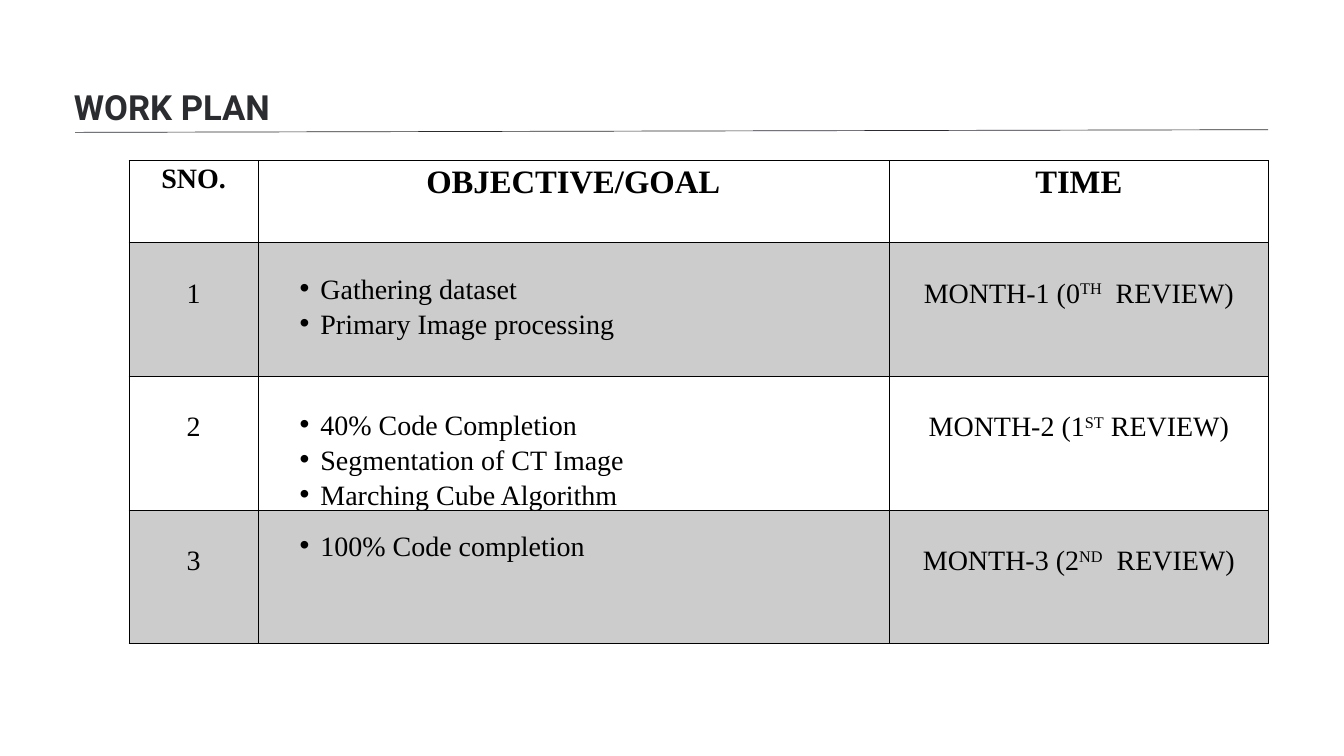
from dataclasses import dataclass
from typing import NamedTuple

from lxml.etree import SubElement
from pptx import Presentation
from pptx.dml.color import RGBColor
from pptx.enum.shapes import MSO_CONNECTOR
from pptx.enum.text import PP_ALIGN
from pptx.oxml.ns import qn
from pptx.util import Inches, Pt


@dataclass(frozen=True)
class Theme:
    ink: str = "000000"
    heading: str = "2B2C30"
    title_font: str = "Roboto"
    body_font: str = "Times New Roman"
    title_size: float = 37.1
    header_size: float = 35
    body_size: float = 30
    band_alpha: int = 20000


class Review(NamedTuple):
    number: str
    month: str
    ordinal: str
    ending: str
    banded: bool


class Goals(NamedTuple):
    top: float
    width: float
    height: float
    inset_top: float
    items: tuple[str, ...]


THEME = Theme()
HEADERS = (
    ("SNO.", THEME.body_size),
    ("OBJECTIVE/GOAL", THEME.header_size),
    ("TIME", THEME.header_size),
)
REVIEWS = (
    Review("1", "MONTH-1 (0", "TH", "  REVIEW)", True),
    Review("2", "MONTH-2 (1", "ST", " REVIEW)", False),
    Review("3", "MONTH-3 (2", "ND", "  REVIEW)", True),
)
GOALS = (
    Goals(3.46, 9.92, 2.12, 0.56, ("Gathering dataset", "Primary Image processing")),
    Goals(5.99, 8.58, 2.12, 0.05,
          ("40% Code Completion", "Segmentation of CT Image", "Marching Cube Algorithm")),
    Goals(7.79, 9.22, 1.11, 0.05, ("100% Code completion",)),
)
COLUMN_WIDTHS = (1.92, 9.39, 5.65)
HEADER_HEIGHT, REVIEW_HEIGHT = 1.22, 1.99
GOALS_LEFT = 4.36
BULLET_INDENT = 0.31


def write(paragraph, text: str, *, size: float = THEME.body_size, font: str = THEME.body_font,
          color: str = THEME.ink, bold: bool = False, align=PP_ALIGN.LEFT,
          spacing: float | None = None, raised: bool = False) -> None:
    paragraph.alignment = align
    if spacing:
        paragraph.line_spacing = spacing
    run = paragraph.add_run()
    run.text = text
    run.font.size = Pt(size)
    run.font.name = font
    run.font.bold = bold
    run.font.color.rgb = RGBColor.from_string(color)
    if raised:
        run.font._element.set("baseline", "30000")


def add_solid(parent, tag: str, color: str) -> None:
    SubElement(SubElement(parent, qn(tag)), qn("a:srgbClr"), val=color)


def add_bullet(paragraph) -> None:
    properties = paragraph._p.get_or_add_pPr()
    properties.set("marL", str(Inches(BULLET_INDENT)))
    properties.set("indent", str(-Inches(BULLET_INDENT)))
    add_solid(properties, "a:buClr", THEME.ink)
    SubElement(properties, qn("a:buFont"), typeface="Arial")
    SubElement(properties, qn("a:buChar"), char="•")


def style_cell(cell, *, banded: bool, top: float, bottom_width: float = 1) -> None:
    cell.margin_left = cell.margin_right = Inches(0.1)
    cell.margin_top, cell.margin_bottom = Inches(top), Inches(0.05)
    properties = cell._tc.get_or_add_tcPr()
    for side in "LRTB":
        width = bottom_width if side == "B" else 1
        border = SubElement(properties, qn(f"a:ln{side}"), w=str(Pt(width)))
        add_solid(border, "a:solidFill", THEME.ink)
    if banded:
        cell.fill.solid()
        cell.fill.fore_color.rgb = RGBColor.from_string(THEME.ink)
        shade = properties.find(qn("a:solidFill")).find(qn("a:srgbClr"))
        SubElement(shade, qn("a:alpha"), val=str(THEME.band_alpha))
    else:
        cell.fill.background()


def add_plan(slide) -> None:
    heights = [HEADER_HEIGHT] + [REVIEW_HEIGHT] * len(REVIEWS)
    plan = slide.shapes.add_table(
        len(heights), len(COLUMN_WIDTHS), Inches(1.92), Inches(2.39),
        Inches(sum(COLUMN_WIDTHS)), Inches(sum(heights))).table
    plan.first_row = plan.horz_banding = False
    for column, width in zip(plan.columns, COLUMN_WIDTHS):
        column.width = Inches(width)
    for row, height in zip(plan.rows, heights):
        row.height = Inches(height)

    for cell, (label, size) in zip(plan.rows[0].cells, HEADERS):
        style_cell(cell, banded=False, top=0.05, bottom_width=2)
        write(cell.text_frame.paragraphs[0], label, size=size, bold=True, align=PP_ALIGN.CENTER)

    for index, review in enumerate(REVIEWS, start=1):
        cells = list(plan.rows[index].cells)
        for cell in cells:
            style_cell(cell, banded=review.banded, top=0.53)
        number, _, time = (cell.text_frame.paragraphs[0] for cell in cells)
        write(number, review.number, align=PP_ALIGN.CENTER)
        write(time, review.month, align=PP_ALIGN.CENTER)
        write(time, review.ordinal, align=PP_ALIGN.CENTER, raised=True)
        write(time, review.ending, align=PP_ALIGN.CENTER)


def add_frame(slide, left: float, top: float, width: float, height: float,
              side_inset: float, top_inset: float):
    frame = slide.shapes.add_textbox(
        Inches(left), Inches(top), Inches(width), Inches(height)).text_frame
    frame.word_wrap = True
    frame.margin_left = frame.margin_right = Inches(side_inset)
    frame.margin_top, frame.margin_bottom = Inches(top_inset), Inches(0)
    return frame


def add_title(slide) -> None:
    title = add_frame(slide, 1.1, 1.03, 17.75, 0.67, 0, 0)
    write(title.paragraphs[0], "WORK PLAN", size=THEME.title_size, font=THEME.title_font,
          color=THEME.heading, bold=True, spacing=1.4)
    rule = slide.shapes.add_connector(
        MSO_CONNECTOR.STRAIGHT, Inches(1.12), Inches(1.97), Inches(18.87), Inches(1.93))
    rule.line.width = Pt(0.75)
    rule.line.color.rgb = RGBColor.from_string(THEME.heading)
    SubElement(rule._element.spPr, qn("a:effectLst"))


def add_goals(slide, goals: Goals) -> None:
    frame = add_frame(slide, GOALS_LEFT, goals.top, goals.width, goals.height,
                      0.1, goals.inset_top)
    for index, item in enumerate(goals.items):
        paragraph = frame.add_paragraph() if index else frame.paragraphs[0]
        write(paragraph, item, spacing=1.04)
        add_bullet(paragraph)


def main() -> None:
    deck = Presentation()
    deck.slide_width, deck.slide_height = Inches(20), Inches(11.25)
    slide = deck.slides.add_slide(deck.slide_layouts[6])
    add_plan(slide)
    add_title(slide)
    for goals in GOALS:
        add_goals(slide, goals)
    deck.save("out.pptx")


if __name__ == "__main__":
    main()
